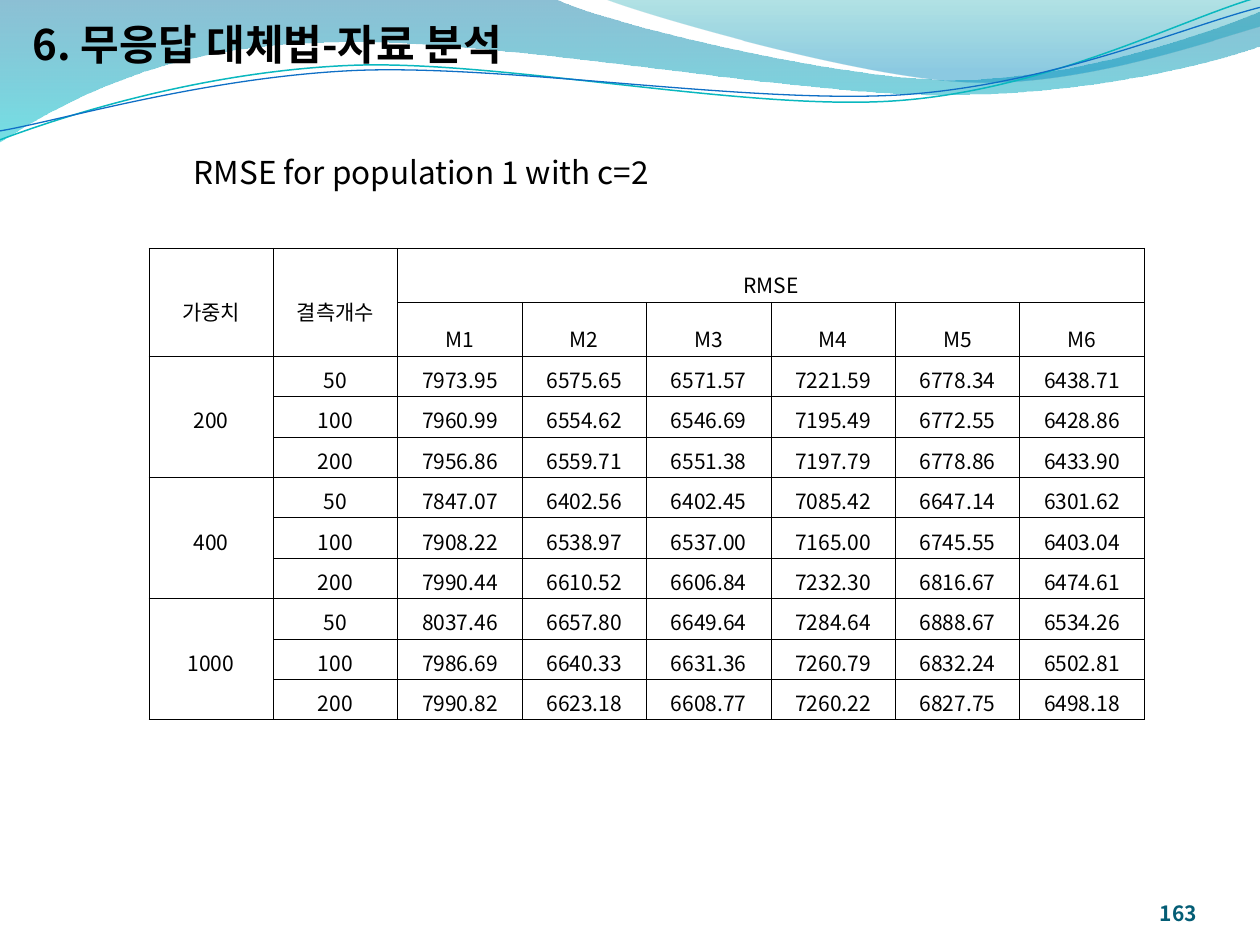
from dataclasses import dataclass
from itertools import product

from lxml import etree
from pptx import Presentation
from pptx import util as u
from pptx.dml.color import RGBColor
from pptx.enum import text as t
from pptx.oxml.ns import qn


@dataclass(frozen=True)
class Theme:
    font: str = "Noto Sans CJK KR"
    ink: str = "000000"
    number: str = "045D75"
    teal_line: str = "0AB8BF"
    blue_line: str = "0F6FC6"
    wide_wave: tuple = ((0, "0074A1", 45), (1, "00C6CF", 55))
    right_wave: tuple = ((0, "00A1A9", 30), (0.8, "008BBF", 45))
    title_size: float = 24
    caption_size: float = 18
    small_size: float = 12
    border: float = 0.28


THEME = Theme()

WIDE_WAVE = [
    (0, -0.03), (11.18, -0.03),
    (12.09, 0.43, 16.87, 1.6, 19.25, 1.6), (21.67, 1.6, 24.33, 0.66, 25.4, 0.23),
    (25.43, 0.91),
    (24.97, 1.12, 22.1, 1.93, 18.95, 1.91), (15.8, 1.91, 9.7, 0.71, 6.53, 0.86),
    (3.28, 0.89, 1.17, 2.11, -0.03, 2.87),
]
RIGHT_WAVE = [
    (12.17, -0.03),
    (12.93, 0.28, 17.32, 1.57, 19.53, 1.65), (21.74, 1.75, 24.41, 0.81, 25.4, 0.53),
    (25.4, 0),
]
TEAL_CURVE = [
    (0, 2.82), (1.22, 2.36, 4.01, 1.45, 7.04, 1.32),
    (10.03, 1.19, 15.06, 2.26, 18.11, 2.03), (21.16, 1.8, 23.83, 0.38, 25.35, -0.05),
]
BLUE_CURVE = [
    (0, 2.64), (1.19, 2.44, 4.17, 1.55, 7.19, 1.42),
    (10.24, 1.3, 15.16, 2.11, 18.21, 1.91), (21.23, 1.7, 23.9, 0.53, 25.4, 0.15),
]

WEIGHTS = ("200", "400", "1000")
MISSING_COUNTS = ("50", "100", "200")
METHODS = ("M1", "M2", "M3", "M4", "M5", "M6")
RMSE = [
    ("7973.95", "6575.65", "6571.57", "7221.59", "6778.34", "6438.71"),
    ("7960.99", "6554.62", "6546.69", "7195.49", "6772.55", "6428.86"),
    ("7956.86", "6559.71", "6551.38", "7197.79", "6778.86", "6433.90"),
    ("7847.07", "6402.56", "6402.45", "7085.42", "6647.14", "6301.62"),
    ("7908.22", "6538.97", "6537.00", "7165.00", "6745.55", "6403.04"),
    ("7990.44", "6610.52", "6606.84", "7232.30", "6816.67", "6474.61"),
    ("8037.46", "6657.80", "6649.64", "7284.64", "6888.67", "6534.26"),
    ("7986.69", "6640.33", "6631.36", "7260.79", "6832.24", "6502.81"),
    ("7990.82", "6623.18", "6608.77", "7260.22", "6827.75", "6498.18"),
]


def write(frame, words, size, color=THEME.ink, bold=False,
          align=t.PP_ALIGN.LEFT, spacing=None):
    para = frame.paragraphs[0]
    para.alignment = align
    para.line_spacing = spacing
    span = para.add_run()
    span.text = words
    span.font.size = u.Pt(size)
    span.font.bold = bold
    span.font.color.rgb = RGBColor.from_string(color)
    span.font.name = THEME.font
    etree.SubElement(span.font._element, qn("a:ea"), typeface=THEME.font)
    return para


def draw_outline(page, outline, left, top, close):
    points = [(u.Cm(left + x), u.Cm(top + y))
              for segment in outline for x, y in zip(segment[::2], segment[1::2])]
    builder = page.shapes.build_freeform(*points[0])
    builder.add_line_segments(points[1:], close=close)
    shape = builder.convert_to_shape()
    shape.shadow.inherit = False
    lines = iter(list(shape.element.iter(qn("a:lnTo"))))
    for segment in outline[1:]:
        line = next(lines)
        if len(segment) == 6:
            line.addprevious(etree.Element(qn("a:cubicBezTo")))
            curve = line.getprevious()
            for part in (line, next(lines), next(lines)):
                curve.append(part[0])
                part.getparent().remove(part)
    return shape


def add_wave_band(page, left, top):
    for outline, stops in ((WIDE_WAVE, THEME.wide_wave), (RIGHT_WAVE, THEME.right_wave)):
        wave = draw_outline(page, outline, left, top, close=True)
        wave.fill.gradient()
        wave.fill.gradient_angle = 270
        for stop, (position, color, _) in zip(wave.fill.gradient_stops, stops):
            stop.position = position
            stop.color.rgb = RGBColor.from_string(color)
        for tint, (_, _, opacity) in zip(wave.element.iter(qn("a:srgbClr")), stops):
            etree.SubElement(tint, qn("a:alpha"), val=str(opacity * 1000))
        wave.line.fill.background()
    for outline, color, weight in ((TEAL_CURVE, THEME.teal_line, 0.85),
                                   (BLUE_CURVE, THEME.blue_line, 0.75)):
        curve = draw_outline(page, outline, left, top, close=False)
        curve.fill.background()
        curve.line.color.rgb = RGBColor.from_string(color)
        curve.line.width = u.Pt(weight)


def add_title(page, left, top, width, height):
    title = page.shapes.title
    title.left, title.top = u.Cm(left), u.Cm(top)
    title.width, title.height = u.Cm(width), u.Cm(height)
    title.element.getparent().append(title.element)
    frame = title.text_frame
    frame.word_wrap = False
    frame.auto_size = t.MSO_AUTO_SIZE.NONE
    frame.vertical_anchor = t.MSO_ANCHOR.MIDDLE
    write(frame, "6. 무응답 대체법-자료 분석", THEME.title_size, bold=True)


def add_caption(page, left, top, width, height):
    box = page.shapes.add_textbox(u.Cm(left), u.Cm(top), u.Cm(width), u.Cm(height))
    box.text_frame.word_wrap = True
    box.text_frame.auto_size = t.MSO_AUTO_SIZE.SHAPE_TO_FIT_TEXT
    para = write(box.text_frame, "RMSE for population 1 with c=2", THEME.caption_size)
    para.level = 1
    para._p.get_or_add_pPr().set("marL", str(u.Cm(1.27)))


def add_page_number(page, left, top, width, height):
    box = page.shapes.add_textbox(u.Cm(left), u.Cm(top), u.Cm(width), u.Cm(height))
    frame = box.text_frame
    frame.word_wrap = True
    frame.vertical_anchor = t.MSO_ANCHOR.BOTTOM
    frame.margin_left = frame.margin_right = frame.margin_top = frame.margin_bottom = 0
    write(frame, "163", THEME.small_size, THEME.number, True, t.PP_ALIGN.RIGHT)


def format_cell(cell):
    cell.margin_left = cell.margin_right = u.Cm(0.18)
    cell.margin_top = cell.margin_bottom = u.Cm(0.04)
    cell.vertical_anchor = t.MSO_ANCHOR.MIDDLE
    properties = cell._tc.get_or_add_tcPr()
    for side in ("a:lnL", "a:lnR", "a:lnT", "a:lnB"):
        border = etree.SubElement(properties, qn(side), w=str(u.Pt(THEME.border)))
        fill = etree.SubElement(border, qn("a:solidFill"))
        etree.SubElement(fill, qn("a:srgbClr"), val=THEME.ink)
    cell.fill.background()


def add_rmse_table(page, left, top, width, header_height, body_height):
    rows = [("가중치", "결측개수", "RMSE"), ("", "", *METHODS)]
    for (weight, count), values in zip(product(WEIGHTS, MISSING_COUNTS), RMSE):
        rows.append((weight if count == MISSING_COUNTS[0] else "", count, *values))
    heights = [header_height / 2] * 2 + [body_height / len(RMSE)] * len(RMSE)
    columns = 2 + len(METHODS)
    table = page.shapes.add_table(len(rows), columns, u.Cm(left), u.Cm(top),
                                  u.Cm(width), u.Cm(sum(heights))).table
    table.first_row = table.horz_banding = False
    for row, height in zip(table.rows, heights):
        row.height = u.Cm(height)
    for cell in table.iter_cells():
        format_cell(cell)
    for r, row in enumerate(rows):
        for c, words in enumerate(row):
            if words:
                write(table.cell(r, c).text_frame, words, THEME.small_size,
                      align=t.PP_ALIGN.CENTER, spacing=1.6 if r < 2 else 1.2)
    for c in range(2):
        table.cell(0, c).merge(table.cell(1, c))
    table.cell(0, 2).merge(table.cell(0, columns - 1))
    group = len(MISSING_COUNTS)
    for r in range(2, len(rows), group):
        table.cell(r, 0).merge(table.cell(r + group - 1, 0))


def main():
    deck = Presentation()
    deck.slide_width, deck.slide_height = u.Cm(25.4), u.Cm(19.05)
    page = deck.slides.add_slide(deck.slide_layouts[5])
    add_wave_band(page, 0, 0)
    add_page_number(page, 22.02, 17.65, 2.11, 1.02)
    add_title(page, 0.41, 0, 11, 1.78)
    add_caption(page, 2.39, 2.97, 21.23, 1.02)
    add_rmse_table(page, 3, 5, 20.07, 2.18, 7.33)
    deck.save("out.pptx")


if __name__ == "__main__":
    main()
